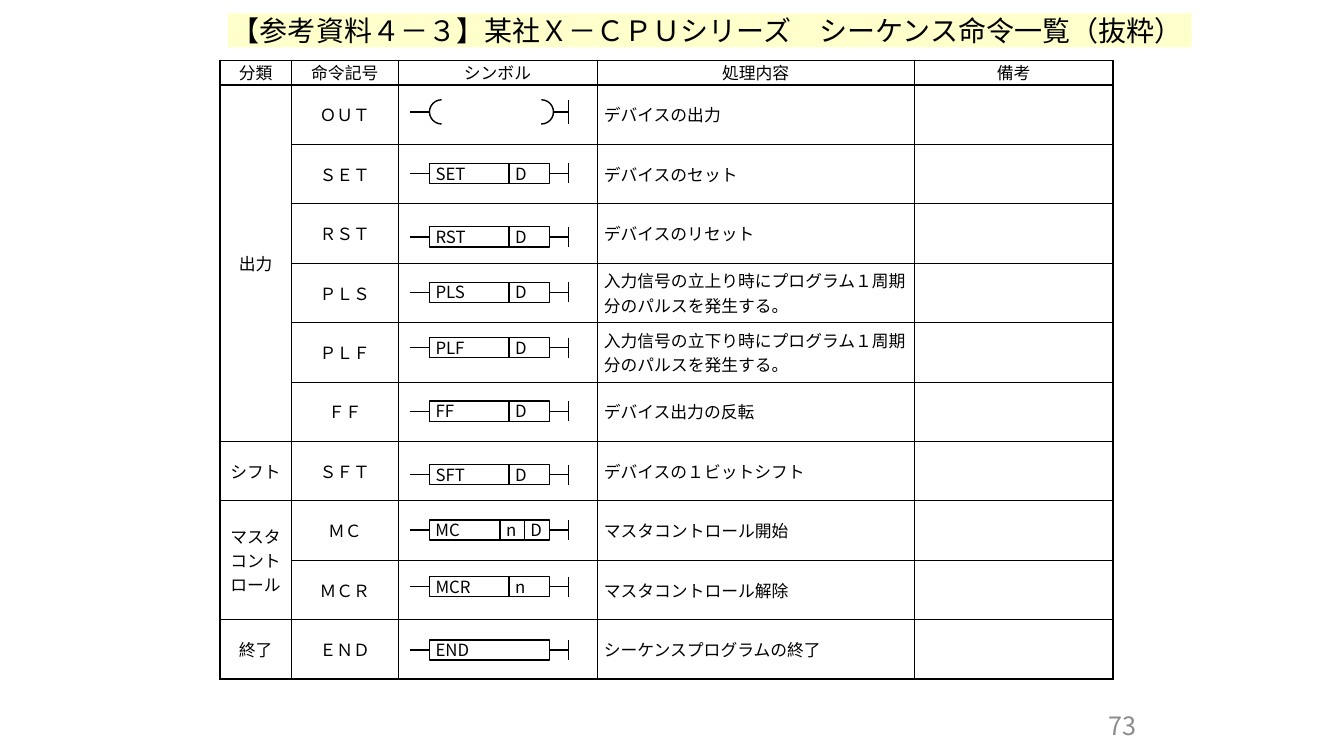
"""Build the slide listing sequence instructions and their ladder symbols."""
from dataclasses import dataclass

from lxml import etree
from pptx import Presentation
from pptx import util as u
from pptx.dml.color import RGBColor
from pptx.enum import shapes, text
from pptx.oxml import ns

BLACK = RGBColor(0x00, 0x00, 0x00)
WHITE = RGBColor(0xFF, 0xFF, 0xFF)
GRAY = RGBColor(0x8C, 0x8C, 0x8C)
CREAM = RGBColor(0xFF, 0xFF, 0xCC)
FONT = "Noto Sans CJK JP"
THIN, THICK = 0.5, 1.5

HEADINGS = ("分類", "命令記号", "シンボル", "処理内容", "備考")
COLUMN_WIDTHS = (0.71, 1.06, 1.97, 3.15, 1.97)
HEADER_HEIGHT, ROW_HEIGHT = 0.24, 0.59
TABLE_LEFT, TABLE_TOP = 2.18, 0.6

WIRE_LEFT, BOX_LEFT, BOX_RIGHT, RAIL = 4.07, 4.26, 5.45, 5.64
BOX_HEIGHT = 0.2
ARC_SIZE = 0.24


@dataclass(frozen=True)
class Category:
    name: str
    first_row: int
    row_count: int


@dataclass(frozen=True)
class Instruction:
    mnemonic: str
    meaning: str
    centre: float
    labels: tuple[str, ...] = ()
    edges: tuple[float, ...] = (BOX_LEFT, 5.05, BOX_RIGHT)


CATEGORIES = (
    Category("出力", 1, 6),
    Category("シフト", 7, 1),
    Category("マスタ\nコントロール", 8, 2),
    Category("終了", 10, 1),
)
INSTRUCTIONS = (
    Instruction("ＯＵＴ", "デバイスの出力", 1.11),
    Instruction("ＳＥＴ", "デバイスのセット", 1.72, ("SET", "D")),
    Instruction("ＲＳＴ", "デバイスのリセット", 2.35, ("RST", "D")),
    Instruction("ＰＬＳ", "入力信号の立上り時にプログラム１周期分のパルスを発生する。", 2.9, ("PLS", "D")),
    Instruction("ＰＬＦ", "入力信号の立下り時にプログラム１周期分のパルスを発生する。", 3.45, ("PLF", "D")),
    Instruction("ＦＦ", "デバイス出力の反転", 4.08, ("FF", "D")),
    Instruction("ＳＦＴ", "デバイスの１ビットシフト", 4.71, ("SFT", "D")),
    Instruction("ＭＣ", "マスタコントロール開始", 5.26, ("MC", "n", "D"), (BOX_LEFT, 4.96, 5.2, BOX_RIGHT)),
    Instruction("ＭＣＲ", "マスタコントロール解除", 5.82, ("MCR", "n")),
    Instruction("ＥＮＤ", "シーケンスプログラムの終了", 6.45, ("END",), (BOX_LEFT, BOX_RIGHT)),
)


def write(frame, words: str, size: float = 12, color: RGBColor = BLACK,
          align=text.PP_ALIGN.LEFT) -> None:
    frame.text = words
    for para in frame.paragraphs:
        para.alignment = align
        para.font.size = u.Pt(size)
        para.font.name = FONT
        para.font.color.rgb = color
        east_asian = etree.SubElement(para.font._element, ns.qn("a:ea"))
        east_asian.set("typeface", FONT)


def set_insets(frame, left: float, top: float, right: float, bottom: float) -> None:
    frame.margin_left, frame.margin_top = u.Inches(left), u.Inches(top)
    frame.margin_right, frame.margin_bottom = u.Inches(right), u.Inches(bottom)


def add_title(page) -> None:
    title = page.shapes.title
    title.left, title.top = u.Inches(2.26), u.Inches(0.13)
    title.width, title.height = u.Inches(9.56), u.Inches(0.34)
    title.fill.solid()
    title.fill.fore_color.rgb = CREAM
    frame = title.text_frame
    write(frame, "【参考資料４－３】某社Ｘ－ＣＰＵシリーズ　シーケンス命令一覧（抜粋）", 20)
    frame.paragraphs[0].line_spacing = 1.0
    set_insets(frame, 0.04, 0, 0.04, 0)
    frame.vertical_anchor = text.MSO_ANCHOR.TOP
    frame.auto_size = text.MSO_AUTO_SIZE.NONE
    frame.word_wrap = False


def add_page_number(page) -> None:
    box = page.shapes.add_textbox(u.Inches(10.6), u.Inches(6.9), u.Inches(1.06), u.Inches(0.6))
    box.text_frame.word_wrap = True
    box.text_frame.vertical_anchor = text.MSO_ANCHOR.MIDDLE
    write(box.text_frame, "73", 18, GRAY, text.PP_ALIGN.CENTER)


def set_borders(cell, left: float, right: float, top: float, bottom: float) -> None:
    properties = cell._tc.get_or_add_tcPr()
    for side, width in zip("LRTB", (left, right, top, bottom)):
        line = etree.SubElement(properties, ns.qn(f"a:ln{side}"), w=str(u.Pt(width)))
        fill = etree.SubElement(line, ns.qn("a:solidFill"))
        etree.SubElement(fill, ns.qn("a:srgbClr"), val=str(BLACK))


def add_instruction_table(page) -> None:
    row_total, column_total = len(INSTRUCTIONS) + 1, len(HEADINGS)
    height = HEADER_HEIGHT + ROW_HEIGHT * len(INSTRUCTIONS)
    table = page.shapes.add_table(
        row_total, column_total, u.Inches(TABLE_LEFT), u.Inches(TABLE_TOP),
        u.Inches(sum(COLUMN_WIDTHS)), u.Inches(height)).table
    table.first_row = table.horz_banding = False
    for column, width in zip(table.columns, COLUMN_WIDTHS):
        column.width = u.Inches(width)
    for index, row in enumerate(table.rows):
        row.height = u.Inches(ROW_HEIGHT if index else HEADER_HEIGHT)
        for position, cell in enumerate(row.cells):
            set_borders(cell,
                        THIN if position else THICK,
                        THICK if position == column_total - 1 else THIN,
                        THICK if index <= 1 else THIN,
                        THICK if index in (0, row_total - 1) else THIN)
            cell.fill.background()
            set_insets(cell, 0.07, 0, 0.07, 0)
            cell.vertical_anchor = text.MSO_ANCHOR.MIDDLE
    for position, heading in enumerate(HEADINGS):
        write(table.cell(0, position).text_frame, heading, align=text.PP_ALIGN.CENTER)
    for category in CATEGORIES:
        cell = table.cell(category.first_row, 0)
        if category.row_count > 1:
            cell.merge(table.cell(category.first_row + category.row_count - 1, 0))
        write(cell.text_frame, category.name, align=text.PP_ALIGN.CENTER)
    for index, instruction in enumerate(INSTRUCTIONS, start=1):
        write(table.cell(index, 1).text_frame, instruction.mnemonic, align=text.PP_ALIGN.CENTER)
        write(table.cell(index, 3).text_frame, instruction.meaning)


def add_wire(group, x1: float, y1: float, x2: float, y2: float):
    wire = group.shapes.add_connector(
        shapes.MSO_CONNECTOR.STRAIGHT, u.Inches(x1), u.Inches(y1), u.Inches(x2), u.Inches(y2))
    wire.line.color.rgb = BLACK
    wire.line.width = u.Pt(1)
    etree.SubElement(wire._element.spPr, ns.qn("a:effectLst"))
    return wire


def add_outline(group, kind, left: float, top: float, width: float, height: float):
    shape = group.shapes.add_shape(
        kind, u.Inches(left), u.Inches(top), u.Inches(width), u.Inches(height))
    shape.shadow.inherit = False
    shape.line.color.rgb = BLACK
    shape.line.width = u.Pt(1)
    return shape


def add_coil(group, centre: float) -> None:
    top = centre - ARC_SIZE / 2
    for left, mirrored in ((BOX_LEFT, True), (5.25, False)):
        arc = add_outline(group, shapes.MSO_SHAPE.ARC, left, top, ARC_SIZE, ARC_SIZE)
        arc.fill.background()
        arc.adjustments[0], arc.adjustments[1] = 162, 54.48
        if mirrored:
            arc._element.spPr.xfrm.set("flipH", "1")
    add_wire(group, WIRE_LEFT, centre, BOX_LEFT, centre)
    add_wire(group, 5.49, centre, RAIL, centre)
    add_wire(group, RAIL, top, RAIL, top + ARC_SIZE)


def add_boxes(group, instruction: Instruction) -> None:
    centre, edges = instruction.centre, instruction.edges
    top = centre - BOX_HEIGHT / 2
    boxes = []
    for label, left, right in zip(instruction.labels, edges, edges[1:]):
        box = add_outline(group, shapes.MSO_SHAPE.RECTANGLE, left, top, right - left, BOX_HEIGHT)
        box.fill.solid()
        box.fill.fore_color.rgb = WHITE
        set_insets(box.text_frame, 0.06, 0, 0, 0)
        box.text_frame.vertical_anchor = text.MSO_ANCHOR.MIDDLE
        write(box.text_frame, label)
        boxes.append(box)
    add_wire(group, WIRE_LEFT, centre, BOX_LEFT, centre).end_connect(boxes[0], 1)
    add_wire(group, BOX_RIGHT, centre, RAIL, centre).begin_connect(boxes[-1], 3)
    add_wire(group, RAIL, top, RAIL, top + BOX_HEIGHT)


def main() -> None:
    deck = Presentation()
    deck.slide_width, deck.slide_height = u.Inches(13.33), u.Inches(7.5)
    page = deck.slides.add_slide(deck.slide_layouts[5])
    add_title(page)
    add_page_number(page)
    add_instruction_table(page)
    for instruction in INSTRUCTIONS:
        group = page.shapes.add_group_shape()
        if instruction.labels:
            add_boxes(group, instruction)
        else:
            add_coil(group, instruction.centre)
    deck.save("out.pptx")


if __name__ == "__main__":
    main()
